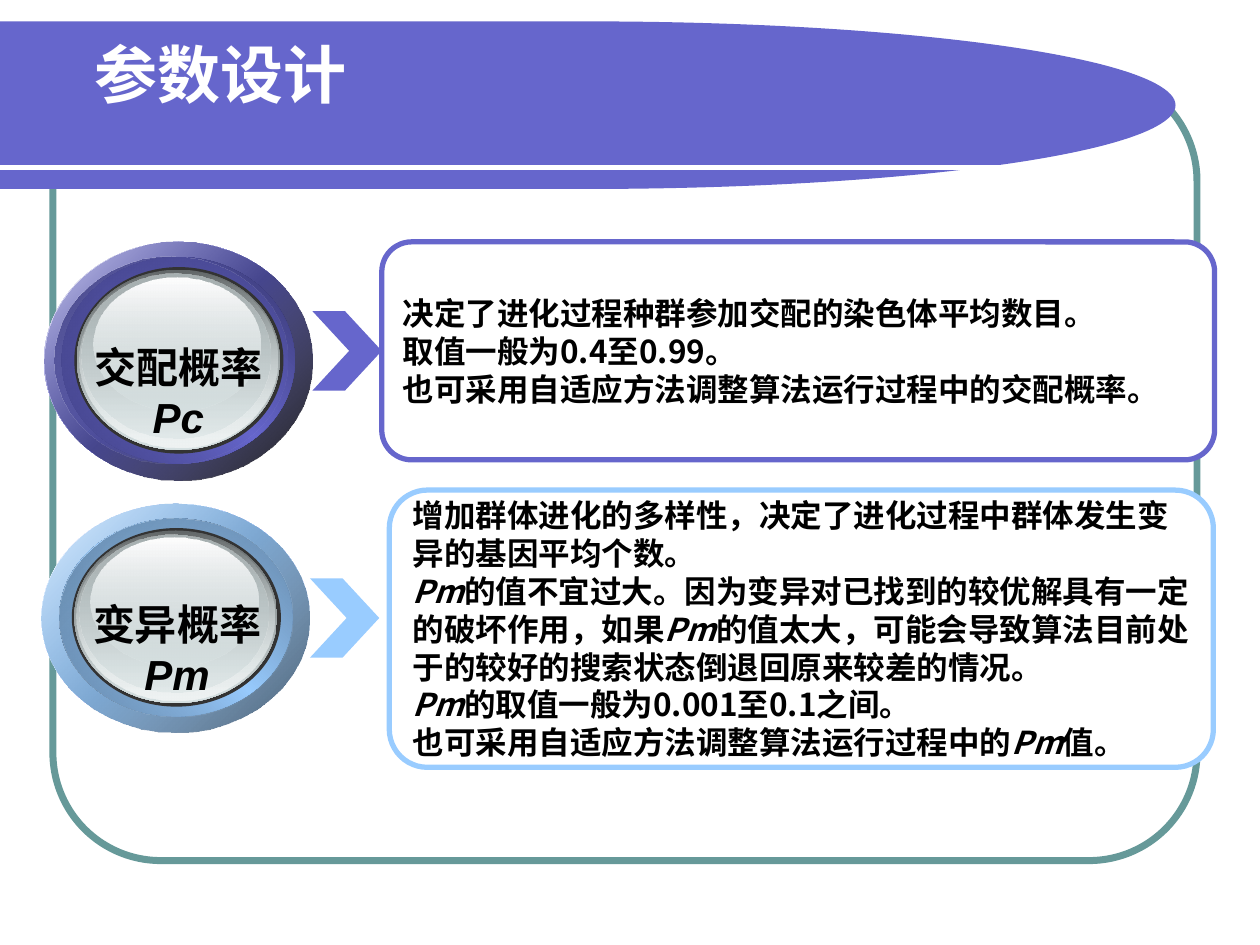
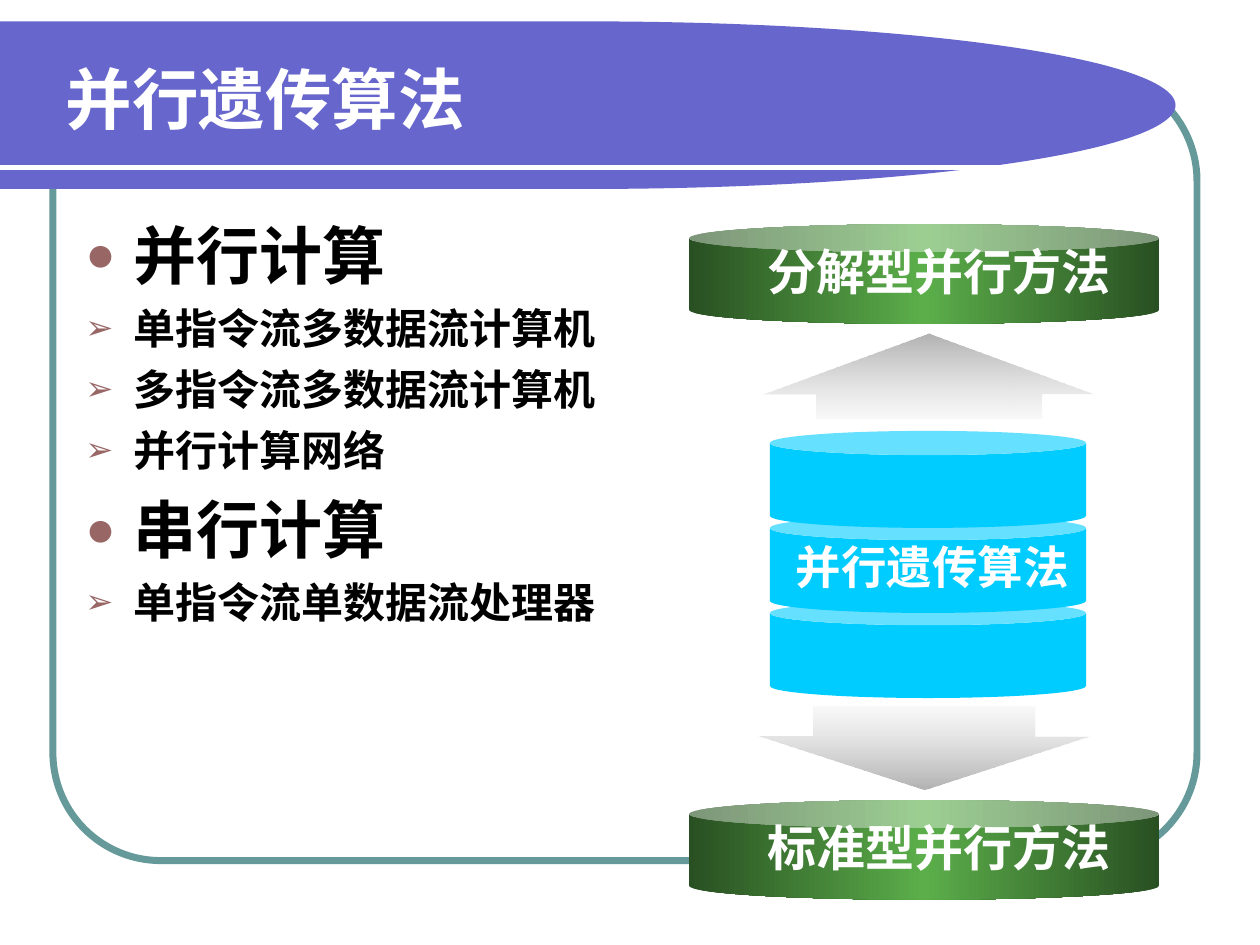
from lxml import etree
from pptx import Presentation
from pptx.dml.color import RGBColor
from pptx.enum.shapes import MSO_CONNECTOR, MSO_SHAPE
from pptx.enum.text import MSO_ANCHOR, PP_ALIGN
from pptx.oxml.ns import qn
from pptx.util import Inches, Pt

CAN, OVAL, ROUNDED = MSO_SHAPE.CAN, MSO_SHAPE.OVAL, MSO_SHAPE.ROUNDED_RECTANGLE
UP, DOWN, CHEVRON = MSO_SHAPE.UP_ARROW, MSO_SHAPE.DOWN_ARROW, MSO_SHAPE.CHEVRON
BAND = MSO_SHAPE.FLOWCHART_DELAY
LEFT, CENTER = PP_ALIGN.LEFT, PP_ALIGN.CENTER
TOP, MIDDLE = MSO_ANCHOR.TOP, MSO_ANCHOR.MIDDLE

COLORS = {
    "white": "FFFFFF", "black": "000000", "violet": "6666CC", "teal": "669999",
    "sky": "99CCFF", "bullet": "996666", "cyan": "00CCFF", "rim": "333333",
    "glow": "FEFEFE", "glass": "D6E1E2", "glass_dark": "626768",
    "glass_light": "EFF3F3", "glass_shade": "A8B1B2",
    "arrow": "B2B2B2", "arrow_light": "CDCDCD",
    "green": "5BAE4A", "green_dark": "295022",
    "violet_dark": "36366D", "violet_shade": "404081",
    "sky_deep": "465E75", "sky_dark": "526D89", "sky_shade": "6081A1",
}
CJK, ARIAL, TIMES = "Noto Sans CJK SC", "Arial", "Times New Roman"

CARDS = [
    {
        "label": ("交配概率", "Pc"), "label_at": (0.65, 2.66, 1.53, 0.9),
        "color": "violet", "shadow": ("black", 90),
        "dark": "violet_dark", "shade": "violet_shade",
        "disc_at": (0.35, 1.92, 2.13, 1.89), "inner_shift": 0.08,
        "chevron_at": (2.48, 2.47, 0.55, 0.63),
        "box_at": (3.03, 1.92, 6.61, 1.73),
        "text": [
            ["决定了进化过程种群参加交配的染色体平均数目。"],
            ["取值一般为0.4至0.99。"],
            ["也可采用自适应方法调整算法运行过程中的交配概率。"],
        ],
    },
    {
        "label": ("变异概率", "Pm"), "label_at": (0.64, 4.7, 1.53, 0.9),
        "color": "sky", "shadow": ("sky_deep", 100),
        "dark": "sky_dark", "shade": "sky_shade",
        "disc_at": (0.33, 4, 2.13, 1.81), "inner_shift": 0.14,
        "chevron_at": (2.46, 4.59, 0.55, 0.63),
        "box_at": (3.09, 3.89, 6.54, 2.2),
        "text": [
            ["增加群体进化的多样性，决定了进化过程中群体发生变异的基因平均个数。"],
            ["Pm", "的值不宜过大。因为变异对已找到的较优解具有一定的破坏作用，如果", "Pm",
             "的值太大，可能会导致算法目前处于的较好的搜索状态倒退回原来较差的情况。"],
            ["Pm", "的取值一般为0.001至0.1之间。"],
            ["也可采用自适应方法调整算法运行过程中的", "Pm", "值。"],
        ],
    },
]
DISC_HEIGHT = 1.89
GLASS_LAYERS = [
    ((0.24, 0.2, 1.66, 1.48), "rim"),
    ((0.26, 0.22, 1.61, 1.43), (90, [("glass_dark", 100), ("glass", 100)])),
    ((0.28, 0.23, 1.57, 1.4), (90, [("glass", 0), ("glass_light", 100)])),
    ((0.3, 0.25, 1.5, 1.31), (90, [("glass_shade", 100), ("glass", 48)])),
    ((0.39, 0.28, 1.33, 1.06), (90, [("glow", 100), ("glass", 38)])),
]

OUTLINE = [
    ("并行计算", ["单指令流多数据流计算机", "多指令流多数据流计算机", "并行计算网络"]),
    ("串行计算", ["单指令流单数据流处理器"]),
]
METHODS = [("标准型并行方法", 6.35), ("分解型并行方法", 1.78)]
METHOD_FILL = (180, [("green_dark", 100), ("green", 100), ("green_dark", 100)])
ARROWS = [
    (DOWN, (6.02, 5.61, 2.63, 0.66), (0.67, 0.64), (90, [("arrow_light", 12), ("arrow", 100)])),
    (UP, (6.06, 2.65, 2.63, 0.67), (0.68, 0.71), (90, [("arrow", 100), ("arrow_light", 12)])),
]


def rgb(name):
    return RGBColor.from_string(COLORS[name])


def place(at):
    return [Inches(value) for value in at]


def set_gradient(shape, angle, stops):
    shape.fill.gradient()
    shape.fill.gradient_angle = (360 - angle) % 360
    stop_list = shape._element.spPr.find(qn("a:gradFill")).find(qn("a:gsLst"))
    for stop in list(stop_list):
        stop_list.remove(stop)
    for index, (name, opacity) in enumerate(stops):
        position = 100000 * index // (len(stops) - 1)
        stop = etree.SubElement(stop_list, qn("a:gs"), pos=str(position))
        color = etree.SubElement(stop, qn("a:srgbClr"), val=COLORS[name])
        if opacity < 100:
            etree.SubElement(color, qn("a:alpha"), val=str(opacity * 1000))


def add_shape(slide, kind, at, fill=None, line=None, width=0, adjust=()):
    shape = slide.shapes.add_shape(kind, *place(at))
    shape.shadow.inherit = False
    for index, value in enumerate(adjust):
        shape.adjustments[index] = value
    if fill is None:
        shape.fill.background()
    elif isinstance(fill, str):
        shape.fill.solid()
        shape.fill.fore_color.rgb = rgb(fill)
    else:
        set_gradient(shape, *fill)
    if line:
        shape.line.color.rgb = rgb(line)
        shape.line.width = Pt(width)
    else:
        shape.line.fill.background()
    return shape


def style(paragraph, size, font, color, align=LEFT):
    paragraph.alignment = align
    paragraph.font.size = Pt(size)
    paragraph.font.bold = True
    paragraph.font.color.rgb = rgb(color)
    paragraph.font.name = font
    etree.SubElement(paragraph.font._element, qn("a:ea"), typeface=CJK)


def next_paragraph(frame, index):
    return frame.add_paragraph() if index else frame.paragraphs[0]


def add_text(slide, at, lines, size, font, color, wrap=False):
    frame = slide.shapes.add_textbox(*place(at)).text_frame
    frame.word_wrap = wrap
    for index, line in enumerate(lines):
        paragraph = next_paragraph(frame, index)
        paragraph.text = line
        style(paragraph, size, font, color, CENTER)
    return frame


def add_base_slide(presentation, title, at, size, font, anchor):
    slide = presentation.slides.add_slide(presentation.slide_layouts[5])
    add_shape(slide, ROUNDED, (0.42, 0.58, 9.08, 6.25), None, "teal", 4, [0.137])
    add_shape(slide, BAND, (0, 0.17, 9.33, 1.33), "violet")
    rule = slide.shapes.add_connector(MSO_CONNECTOR.STRAIGHT, *place((0, 1.33, 8.83, 1.33)))
    rule.line.color.rgb = rgb("white")
    rule.line.width = Pt(3)
    etree.SubElement(rule._element.spPr, qn("a:effectLst"))
    placeholder = slide.shapes.title
    slide.shapes._spTree.append(placeholder._element)
    placeholder.left, placeholder.top, placeholder.width, placeholder.height = place(at)
    frame = placeholder.text_frame
    frame.text = title
    frame.word_wrap = True
    frame.vertical_anchor = anchor
    style(frame.paragraphs[0], size, font, "white")
    return slide


def add_disc(slide, card):
    left, top, width, height = card["disc_at"]
    stretch = height / DISC_HEIGHT
    color, dark = card["color"], card["dark"]
    outer = (0, 0, width, DISC_HEIGHT)
    layers = [
        (outer, (225, [("glow", 100), (color, 100), ("glow", 100)])),
        (outer, (225, [card["shadow"], (color, 32)])),
        ((0.14, 0.12, 1.85, 1.64), (135, [(dark, 100), (color, 100), (dark, 100)])),
        ((card["inner_shift"], 0.12, 1.85, 1.64), (225, [(color, 0), (card["shade"], 100)])),
    ] + GLASS_LAYERS
    for (x, y, w, h), fill in layers:
        add_shape(slide, OVAL, (left + x, top + y * stretch, w, h * stretch), fill)
    frame = add_text(slide, card["label_at"], card["label"], 24, ARIAL, "black")
    frame.paragraphs[1].font.italic = True


def add_card(slide, card):
    add_disc(slide, card)
    box = add_shape(slide, ROUNDED, card["box_at"], "white", card["color"], 3, [0.137])
    frame = box.text_frame
    frame.word_wrap = True
    frame.vertical_anchor = MIDDLE
    for index, pieces in enumerate(card["text"]):
        paragraph = next_paragraph(frame, index)
        for piece in pieces:
            run = paragraph.add_run()
            run.text = piece
            if piece == "Pm":
                run.font.italic = True
        style(paragraph, 18, CJK, "black")
    add_shape(slide, CHEVRON, card["chevron_at"], card["color"], adjust=[0.53])


def add_bullet(paragraph, character):
    properties = paragraph._p.get_or_add_pPr()
    properties.set("marL", str(Inches(0.38)))
    properties.set("indent", str(-Inches(0.38)))
    color = etree.SubElement(properties, qn("a:buClr"))
    etree.SubElement(color, qn("a:srgbClr"), val=COLORS["bullet"])
    etree.SubElement(properties, qn("a:buSzPct"), val="80000")
    etree.SubElement(properties, qn("a:buFont"), typeface=ARIAL)
    etree.SubElement(properties, qn("a:buChar"), char=character)


def add_outline(slide):
    frame = slide.shapes.add_textbox(*place((0.58, 1.67, 8.58, 5.08))).text_frame
    frame.word_wrap = True
    rows = []
    for heading, items in OUTLINE:
        rows.append((heading, "●", 36, 9))
        rows += [(item, "➢", 24, 6) for item in items]
    for index, (text, character, size, space) in enumerate(rows):
        paragraph = next_paragraph(frame, index)
        paragraph.text = text
        add_bullet(paragraph, character)
        if index:
            paragraph.space_before = Pt(space)
        style(paragraph, size, TIMES, "black")


def add_method_stack(slide):
    for level in reversed(range(3)):
        add_shape(slide, CAN, (6.11, 3.42 + 0.675 * level, 2.51, 0.77), "cyan", adjust=[0.25])
    for kind, at, adjust, fill in ARROWS:
        add_shape(slide, kind, at, fill, adjust=adjust)
    add_text(slide, (5.81, 4.23, 3.18, 0.54), ["并行遗传算法"], 26, ARIAL, "white", True)
    for name, top in METHODS:
        add_shape(slide, CAN, (5.47, top, 3.73, 0.79), METHOD_FILL, adjust=[0.28])
        add_text(slide, (5.99, top + 0.09, 2.92, 0.57), [name], 28, ARIAL, "white")


def main():
    presentation = Presentation()
    presentation.slide_width, presentation.slide_height = Inches(10), Inches(7.5)
    parameters = add_base_slide(
        presentation, "参数设计", (0.65, 0.23, 2.4, 0.7), 36, ARIAL, TOP)
    for card in CARDS:
        add_card(parameters, card)
    parallel = add_base_slide(
        presentation, "并行遗传算法", (0.42, 0.47, 9.33, 0.62), 38, TIMES, MIDDLE)
    add_outline(parallel)
    add_method_stack(parallel)
    presentation.save("out.pptx")


if __name__ == "__main__":
    main()
